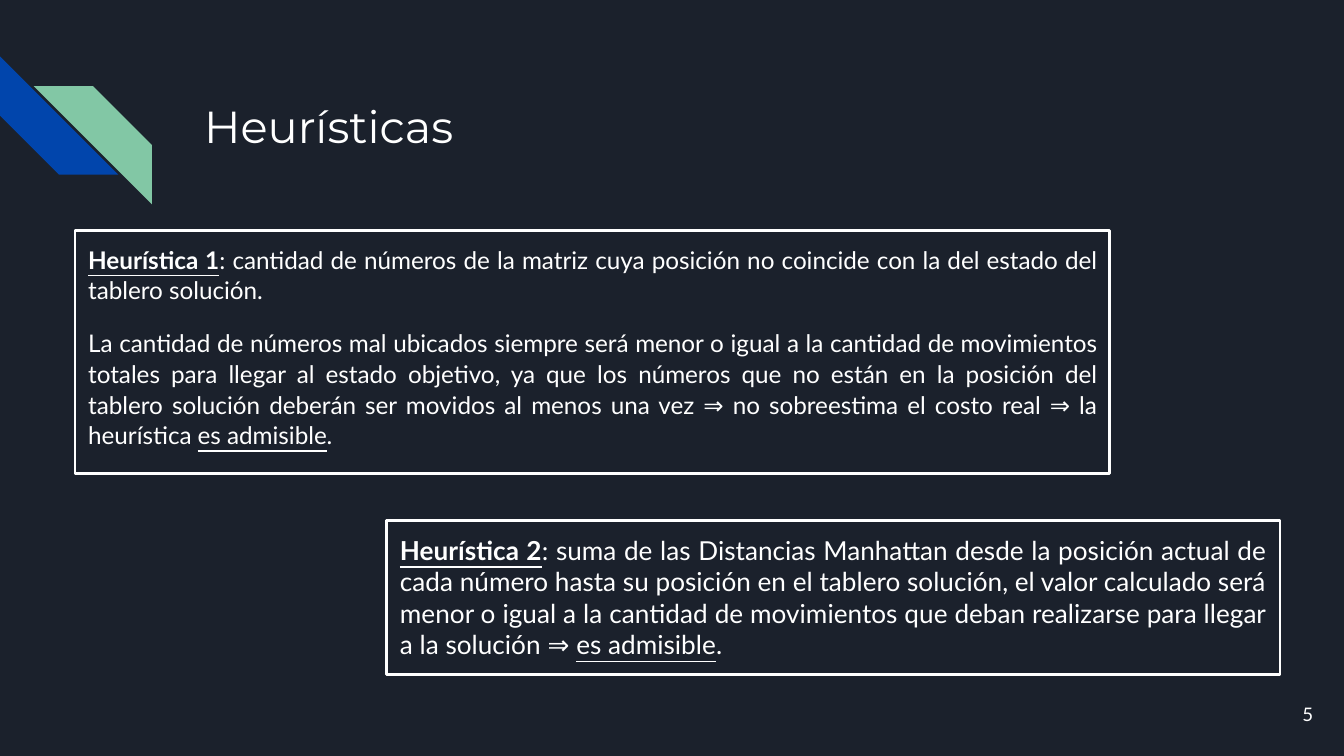
import dataclasses

import pptx
import pptx.dml.color
import pptx.enum.shapes
import pptx.enum.text
import pptx.util

Pt = pptx.util.Pt
RGB = pptx.dml.color.RGBColor.from_string
Shape = pptx.enum.shapes.MSO_SHAPE
Align = pptx.enum.text.PP_ALIGN
Anchor = pptx.enum.text.MSO_ANCHOR
Fit = pptx.enum.text.MSO_AUTO_SIZE


@dataclasses.dataclass(frozen=True)
class Theme:
    back: str = "1B212C"
    ink: str = "FFFFFF"
    blue: str = "0145AC"
    green: str = "82C7A5"
    head: str = "Montserrat"
    body: str = "Lato"
    title: int = 24
    large: int = 14
    text: int = 13
    small: int = 10
    inset: float = 7.2
    line: float = 1.5


class Deck:
    """Draws themed elements on the current slide."""

    def __init__(self, theme):
        self.theme = theme
        self.file = pptx.Presentation()
        self.file.slide_width, self.file.slide_height = Pt(720), Pt(405)
        self.slide = self.file.slides.add_slide(self.file.slide_layouts[5])
        fill = self.slide.background.fill
        fill.solid()
        fill.fore_color.rgb = RGB(theme.back)

    def frame(self, shape, anchor, fit=Fit.NONE):
        frame = shape.text_frame
        frame.word_wrap = True
        frame.auto_size = fit
        frame.vertical_anchor = anchor
        for side in ("left", "top", "right", "bottom"):
            setattr(frame, f"margin_{side}", Pt(self.theme.inset))
        return frame

    def style(self, run, size, face):
        run.font.size = Pt(size)
        run.font.name = face
        run.font.color.rgb = RGB(self.theme.ink)

    def label(self, shape, text, size, face, align):
        frame = self.frame(shape, Anchor.MIDDLE)
        frame.text = text
        para = frame.paragraphs[0]
        para.alignment = align
        self.style(para.runs[0], size, face)

    def title(self, text, left, top, width, height):
        shape = self.slide.shapes.title
        shape.left, shape.top = Pt(left), Pt(top)
        shape.width, shape.height = Pt(width), Pt(height)
        self.label(shape, text, self.theme.title, self.theme.head, Align.LEFT)

    def number(self, text, left, top, width, height):
        shape = self.slide.shapes.add_textbox(Pt(left), Pt(top), Pt(width), Pt(height))
        self.label(shape, text, self.theme.small, self.theme.body, Align.RIGHT)

    def stripe(self, left, top, side, turn, color):
        shape = self.slide.shapes.add_shape(
            Shape.DIAGONAL_STRIPE, Pt(left), Pt(top), Pt(side), Pt(side))
        shape.shadow.inherit = False
        shape.rotation = turn
        shape.fill.solid()
        shape.fill.fore_color.rgb = RGB(color)
        shape.line.fill.background()

    def panel(self, paras, left, top, width, height, size, space=1.0, fit=Fit.NONE):
        shape = self.slide.shapes.add_shape(
            Shape.RECTANGLE, Pt(left), Pt(top), Pt(width), Pt(height))
        shape.shadow.inherit = False
        shape.fill.background()
        shape.line.color.rgb = RGB(self.theme.ink)
        shape.line.width = Pt(self.theme.line)
        frame = self.frame(shape, Anchor.TOP, fit)
        for index, parts in enumerate(paras):
            para = frame.add_paragraph() if index else frame.paragraphs[0]
            para.alignment = Align.JUSTIFY
            para.line_spacing = space
            if index:
                para.space_before = para.space_after = Pt(12)
            for text, mark in parts:
                run = para.add_run()
                run.text = text
                self.style(run, size, self.theme.body)
                run.font.bold = "b" in mark
                run.font.underline = "u" in mark


def main():
    theme = Theme()
    deck = Deck(theme)
    deck.stripe(0, 30.2, 63.4, 270, theme.blue)
    deck.stripe(18, 46.1, 63.4, 90, theme.green)
    deck.title("Heurísticas", 102.2, 31, 554.4, 72)
    end = [("es admisible", "u"), (".", "")]
    first = [
        [("Heurística 1", "bu"),
         (": cantidad de números de la matriz cuya posición no coincide con la "
          "del estado del tablero solución.", "")],
        [("La cantidad de números mal ubicados siempre será menor o igual a la "
          "cantidad de movimientos totales para llegar al estado objetivo, ya que "
          "los números que no están en la posición del tablero solución deberán "
          "ser movidos al menos una vez ⇒ no sobreestima el costo real ⇒ la "
          "heurística ", ""), *end],
    ]
    second = [
        [("Heurística 2", "bu"),
         (": suma de las Distancias Manhattan desde la posición actual de cada "
          "número hasta su posición en el tablero solución, el valor calculado "
          "será menor o igual a la cantidad de movimientos que deban realizarse "
          "para llegar a la solución ⇒ ", ""), *end],
    ]
    deck.panel(first, 40.2, 123.3, 554.4, 130.3, theme.text, space=1.05)
    deck.panel(second, 207.2, 279, 478.6, 82.3, theme.large,
               fit=Fit.SHAPE_TO_FIT_TEXT)
    deck.number("5", 667.4, 367.2, 43.2, 31)
    deck.file.save("out.pptx")


if __name__ == "__main__":
    main()
